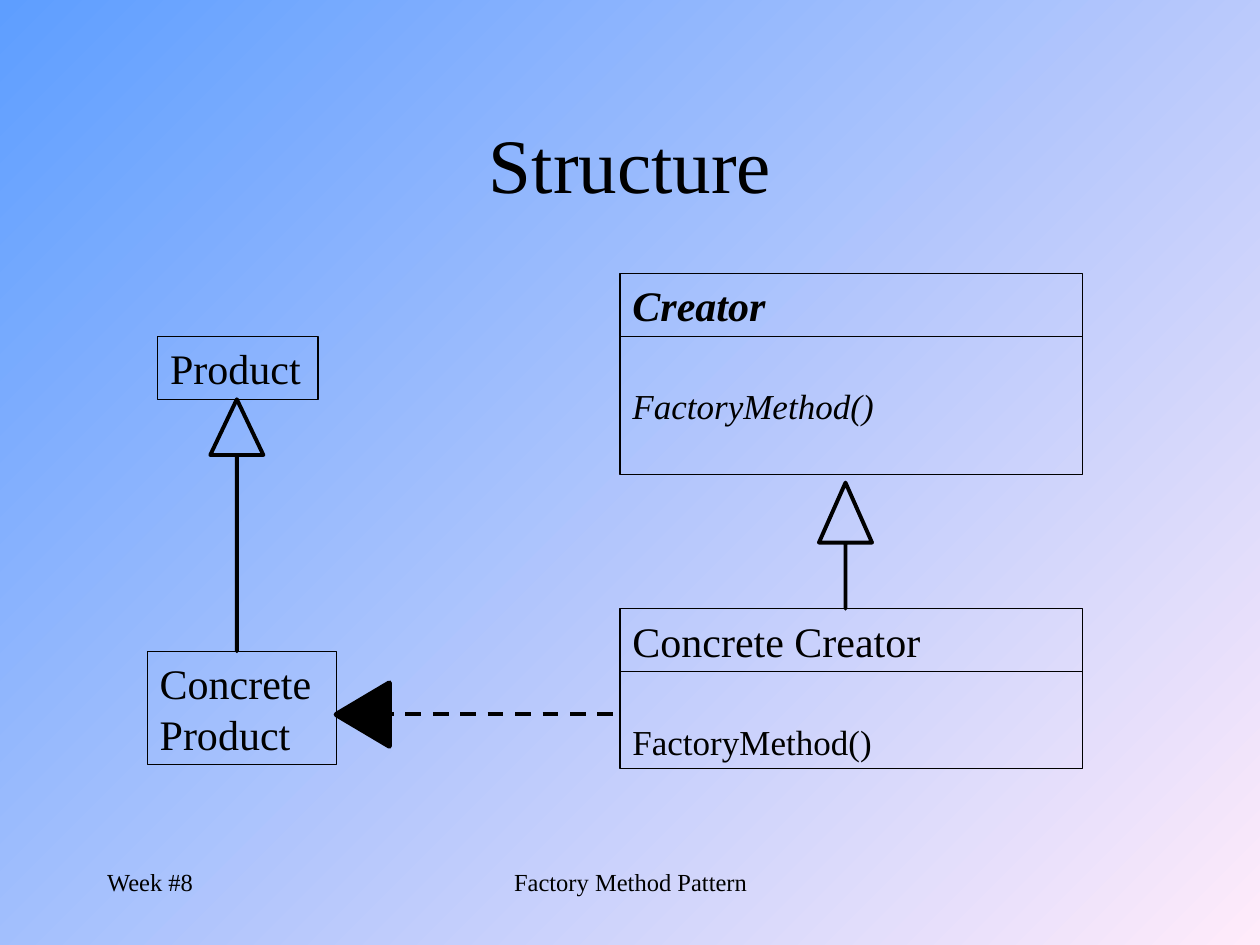
import pptx
import pptx.util
import pptx.dml.color
import pptx.enum.dml
import pptx.enum.shapes
import pptx.enum.text
import pptx.oxml.ns
import lxml.etree

Cm = pptx.util.Cm
Pt = pptx.util.Pt
Shape = pptx.enum.shapes.MSO_SHAPE
Align = pptx.enum.text.PP_ALIGN
Anchor = pptx.enum.text.MSO_ANCHOR

BLACK = pptx.dml.color.RGBColor(0x00, 0x00, 0x00)
SKY_BLUE = pptx.dml.color.RGBColor(0x5E, 0x9E, 0xFF)
PALE_PINK = pptx.dml.color.RGBColor(0xFF, 0xEB, 0xFA)

FONT = "Times New Roman"
NAME_HEIGHT = 1.27
CREATOR_LEFT, CREATOR_WIDTH = 12.5, 9.32


def paint_background(page):
    fill = page.background.fill
    fill.gradient()
    fill.gradient_angle = 315
    for stop, color in zip(fill.gradient_stops, (SKY_BLUE, PALE_PINK)):
        stop.color.rgb = color


def write(box, text, size, align=Align.LEFT, anchor=Anchor.TOP,
          bold=False, italic=False):
    frame = box.text_frame
    frame.word_wrap = True
    frame.vertical_anchor = anchor
    frame.margin_left = frame.margin_right = Cm(0.25)
    frame.margin_top = frame.margin_bottom = Cm(0.13)
    frame.text = text
    para = frame.paragraphs[0]
    para.alignment = align
    font = para.runs[0].font
    font.name, font.size = FONT, Pt(size)
    font.bold, font.italic = bold, italic
    font.color.rgb = BLACK


def add_label(page, text, place, size, **style):
    box = page.shapes.add_textbox(*map(Cm, place))
    write(box, text, size, **style)


def add_outline(page, preset, place, line_width):
    shape = page.shapes.add_shape(preset, *map(Cm, place))
    shape.shadow.inherit = False
    shape.fill.background()
    shape.line.color.rgb = BLACK
    shape.line.width = Pt(line_width)
    return shape


def add_box(page, text, place, size=24, **style):
    box = add_outline(page, Shape.RECTANGLE, place, 0.75)
    write(box, text, size, **style)


def add_class(page, name, top, method_height, anchor, bold=False, italic=False):
    """A class name above a compartment that holds its method."""
    add_box(page, name, (CREATOR_LEFT, top, CREATOR_WIDTH, NAME_HEIGHT),
            bold=bold, italic=italic)
    add_box(page, "FactoryMethod()",
            (CREATOR_LEFT, top + NAME_HEIGHT, CREATOR_WIDTH, method_height),
            size=20, anchor=anchor, italic=italic)


def add_arrow(page, preset, place, head_length, line_width=2.25):
    """A block arrow whose shaft is a single line."""
    arrow = add_outline(page, preset, place, line_width)
    arrow.adjustments[0] = 0
    arrow.adjustments[1] = head_length
    return arrow


def add_dashed_line(page, start, end):
    line = page.shapes.add_connector(
        pptx.enum.shapes.MSO_CONNECTOR.STRAIGHT, *map(Cm, start + end))
    line.line.color.rgb = BLACK
    line.line.width = Pt(2.25)
    line.line.dash_style = pptx.enum.dml.MSO_LINE.DASH
    lxml.etree.SubElement(line._element.spPr, pptx.oxml.ns.qn("a:effectLst"))


def main():
    deck = pptx.Presentation()
    deck.slide_width, deck.slide_height = Cm(25.4), Cm(19.05)
    page = deck.slides.add_slide(deck.slide_layouts[6])
    paint_background(page)

    # Footer and title
    add_label(page, "Week #8", (1.91, 17.35, 5.28, 1.27), 14)
    add_label(page, "Factory Method Pattern", (8.69, 17.35, 8.05, 1.27), 14,
              align=Align.CENTER)
    add_label(page, "Structure", (1.91, 1.7, 21.59, 3.18), 44,
              align=Align.CENTER, anchor=Anchor.MIDDLE)

    # Products
    add_box(page, "Product", (3.18, 6.78, 3.23, NAME_HEIGHT))
    add_box(page, "Concrete Product", (2.97, 13.13, 3.81, 2.29))
    add_arrow(page, Shape.UP_ARROW, (4.24, 8.05, 1.07, 5.08), 1.05)

    # Creators
    add_class(page, "Concrete Creator", 12.27, 1.96, Anchor.BOTTOM)
    add_class(page, "Creator", 5.51, 2.79, Anchor.MIDDLE, bold=True, italic=True)
    add_arrow(page, Shape.UP_ARROW, (16.51, 9.73, 1.07, 2.54), 1.13)

    # Creation of the product by the creator
    creates = add_arrow(page, Shape.LEFT_ARROW, (6.78, 13.77, 1.07, 1.27), 1, 3)
    creates.fill.solid()
    creates.fill.fore_color.rgb = BLACK
    add_dashed_line(page, (7.62, 14.4), (CREATOR_LEFT, 14.4))

    deck.save("out.pptx")


if __name__ == "__main__":
    main()
